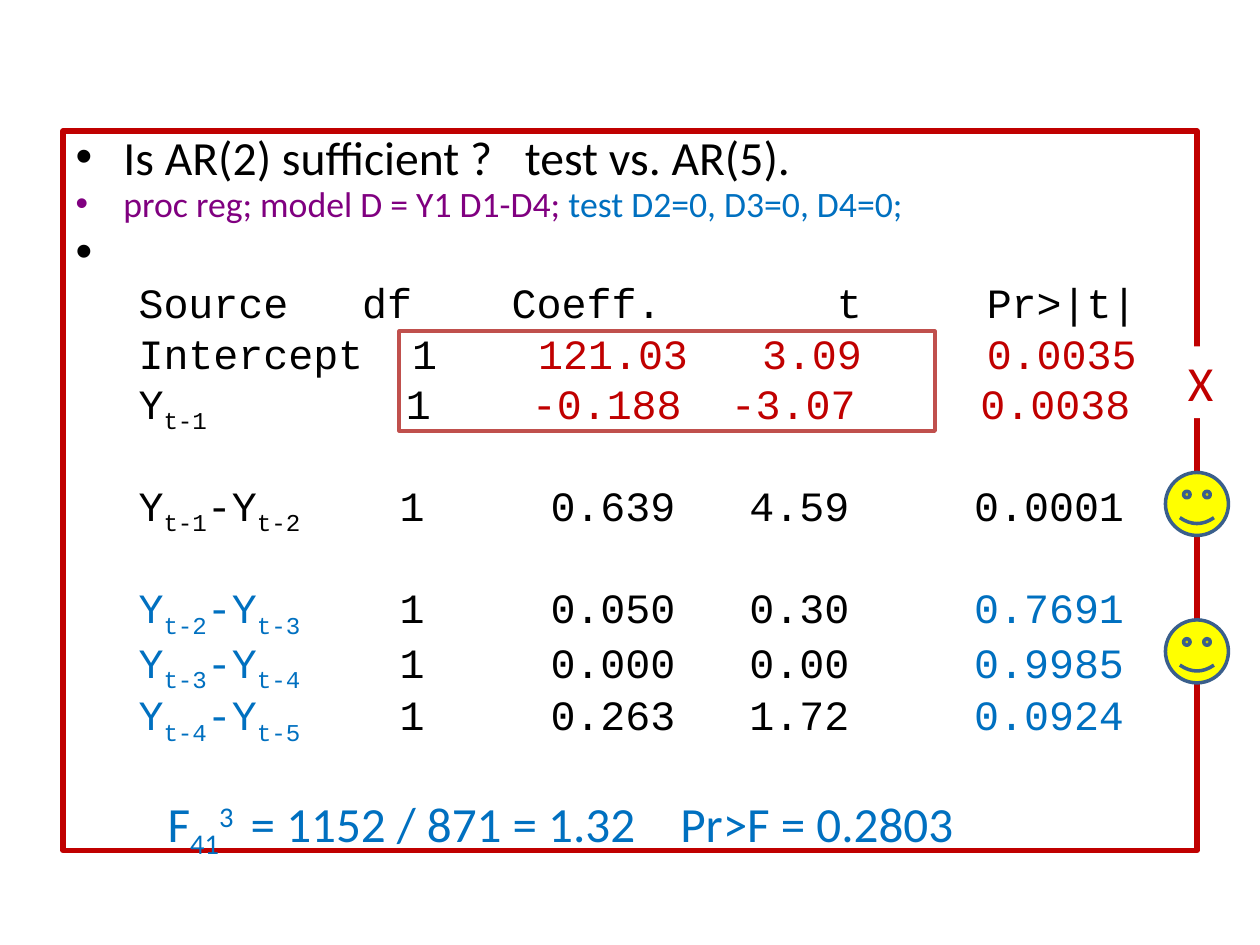
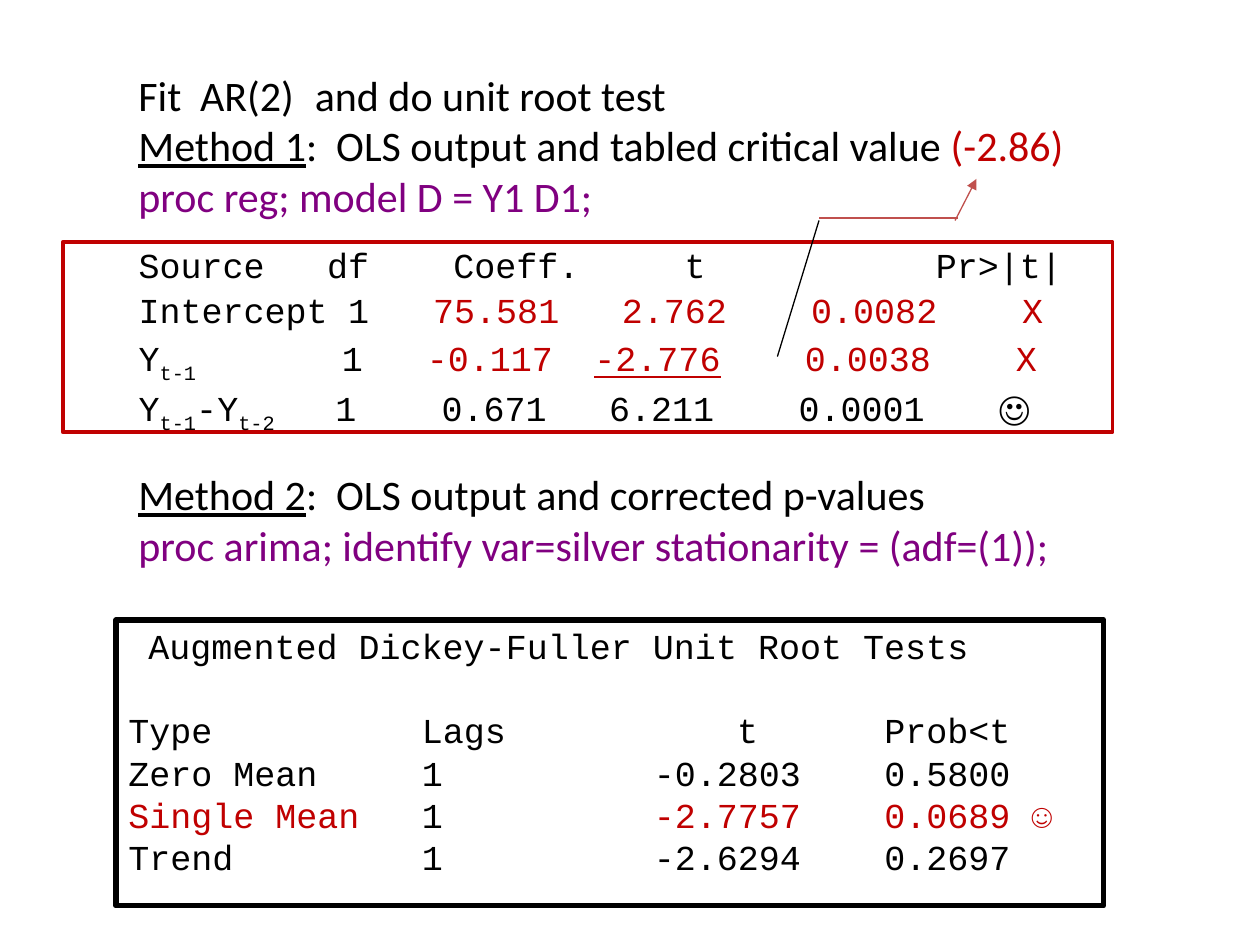
from lxml.etree import SubElement
from pptx import Presentation
from pptx.dml.color import RGBColor
from pptx.enum.shapes import MSO_CONNECTOR, MSO_SHAPE
from pptx.enum.text import MSO_ANCHOR, MSO_AUTO_SIZE, PP_ALIGN
from pptx.oxml.ns import qn
from pptx.util import Inches, Pt

# Shared look
BLACK, RED, BLUE, PURPLE = "000000", "C00000", "0070C0", "800080"
YELLOW, WHITE, BRICK, NAVY = "FFFF00", "FFFFFF", "C0504D", "3A5F8C"
SANS, MONO = "Calibri", "Courier New"
ROW_SHIFT = 0.05  # each subscripted label moves its row's columns left


def run(text, color=BLACK, **formats):
    return text, {"color": color, **formats}


def lag(number, color=BLACK):
    return [run("Y", color), run(f"t-{number}", color, baseline=-25000)]


def difference(number, color=BLACK):
    return lag(number, color) + [run("-Y", color),
                                 run(f"t-{number + 1}", color, baseline=-25000)]


def right_stops(*positions, shift=0):
    return [(position - shift * ROW_SHIFT, "r") for position in positions]


# Slide 1 content: space before, size, runs
AR5_BULLETS = [
    (0, 27.2, [run("Is AR(2) sufficient ?"), run(" ", spc=1230), run("test vs. AR(5).")]),
    (1, 20.4, [run("proc reg; model D = Y1 D1-D4; ", PURPLE),
               run("test D2=0, D3=0, D4=0;", BLUE)]),
    (9.5, 27.2, [run(" ")]),
]
AR5_HEADER = right_stops(2.17, 4.15, 5.74, 7.92)
AR5_COLUMNS = (2.37, 4.36, 5.74, 7.92)
# Space before, label shift, label, coefficient and t, p-value, colours of both
AR5_ROWS = [
    (5, 0, [run("Intercept")], "121.03\t3.09", "0.0035", RED, RED),
    (8.5, 1, lag(1), "-0.188\t-3.07", "0.0038", RED, RED),
    (34.5, 2, difference(1), "0.639\t4.59", "0.0001", BLACK, BLACK),
    (34.5, 2, difference(2, BLUE), "0.050\t0.30", "0.7691", BLACK, BLUE),
    (7, 2, difference(3, BLUE), "0.000\t0.00", "0.9985", BLACK, BLUE),
    (6, 2, difference(4, BLUE), "0.263\t1.72", "0.0924", BLACK, BLUE),
]
F_TEST = [run("\tF", BLUE), run("41", BLUE, baseline=-25000), run("3", BLUE, baseline=30000),
          run("\t= 1152 / 871 = 1.32\tPr>F = 0.2803", BLUE)]
F_STOPS = [(0.23, "l"), (0.89, "l"), (4.3, "l")]
SMILEY_TOPS = (3.75, 4.92)

# Slide 2 content
METHOD_1 = [
    ([run("Fit\tAR(2)\tand do unit root test")], [(0.49, "l"), (1.4, "l")]),
    ([run("Method 1", underline=True), run(":\tOLS output and tabled critical value "),
      run("(-2.86)", RED)], [(1.57, "l")]),
    ([run("proc reg; model D = Y1 D1;", PURPLE)], []),
]
METHOD_2 = [
    ([run("Method 2", underline=True), run(":\tOLS output and corrected p-values")],
     [(1.57, "l")]),
    ([run("proc arima; identify var=silver stationarity = (adf=(1));", PURPLE)], []),
]
AR2_HEADER = right_stops(1.83, 3.5, 4.5, 7.33)
AR2_COLUMNS = (1.83, 3.34, 4.67, 6.34, 7.18)
AR2_ROWS = [
    (4, [run("Intercept\t1"), run("\t75.581\t2.762\t0.0082\tX", RED)]),
    (8.5, lag(1) + [run("\t1"), run("\t-0.117\t", RED), run("-2.776", RED, underline=True),
                    run("\t0.0038\tX", RED)]),
    (6.5, difference(1) + [run("\t1\t0.671\t6.211\t0.0001\t"), run("☺", name=SANS)]),
]
ADF_HEADER = [(2.33, "l"), (5.0, "r"), (6.0, "l")]
ADF_COLUMNS = [(2.33, "l"), (5.34, "r"), (6.0, "l")]
ADF_ROWS = [
    [run("Zero Mean\t1\t-0.2803\t0.5800")],
    [run("Single Mean", RED), run("\t1"), run("\t-2.7757\t0.0689 ☺", RED)],
    [run("Trend\t1\t-2.6294\t0.2697")],
]
# From, to, colour, arrowhead
POINTER = [
    ((6.17, 2.83), (6.5, 1.75), BLACK, False),
    ((6.5, 1.73), (7.6, 1.73), BRICK, False),
    ((7.58, 1.75), (7.75, 1.42), BRICK, True),
]


def rgb(value):
    return RGBColor.from_string(value)


def place(shape, box):
    for name, value in zip(("left", "top", "width", "height"), box):
        setattr(shape, name, Inches(value))


def prepare_frame(shape, top_inset=0.05, left_inset=0.1):
    frame = shape.text_frame
    formats = {"word_wrap": True, "auto_size": MSO_AUTO_SIZE.NONE,
               "vertical_anchor": MSO_ANCHOR.TOP, "margin_top": Inches(top_inset),
               "margin_left": Inches(left_inset)}
    for name, value in formats.items():
        setattr(frame, name, value)
    return frame


def add_paragraph(frame, runs, size, font=SANS, margin=0, hanging=0, before=0,
                  line=None, stops=()):
    first = frame.paragraphs[0]
    paragraph = frame.add_paragraph() if first.runs else first
    properties = paragraph._p.get_or_add_pPr()
    if margin:
        properties.set("marL", str(Inches(margin)))
    if hanging:
        properties.set("indent", str(Inches(-hanging)))
    if stops:
        tab_list = SubElement(properties, qn("a:tabLst"))
        for position, align in stops:
            SubElement(tab_list, qn("a:tab"), pos=str(Inches(position)), algn=align)
    paragraph.alignment = PP_ALIGN.LEFT
    paragraph.space_before = Pt(before)
    if line:
        paragraph.line_spacing = Pt(line)
    for text, formats in runs:
        formats = {"name": font, "size": Pt(size), **formats}
        piece = paragraph.add_run()
        piece.text = text
        piece.font.color.rgb = rgb(formats.pop("color"))
        for name, value in formats.items():
            if name in ("baseline", "spc"):
                piece._r.get_or_add_rPr().set(name, str(value))
            else:
                setattr(piece.font, name, value)


def add_shape(slide, kind, box, fill=None, line=None, width=1):
    shape = slide.shapes.add_shape(kind, *map(Inches, box))
    shape.shadow.inherit = False
    if fill:
        shape.fill.solid()
        shape.fill.fore_color.rgb = rgb(fill)
    else:
        shape.fill.background()
    if line:
        shape.line.color.rgb = rgb(line)
        shape.line.width = Pt(width)
    else:
        shape.line.fill.background()
    return shape


def add_text(slide, box, paragraphs):
    frame = prepare_frame(slide.shapes.add_textbox(*map(Inches, box)))
    for runs, stops in paragraphs:
        add_paragraph(frame, runs, 24, stops=stops)


def add_line(slide, start, end, color, arrow):
    connector = slide.shapes.add_connector(
        MSO_CONNECTOR.STRAIGHT, *map(Inches, start + end))
    connector.line.color.rgb = rgb(color)
    connector.line.width = Pt(0.75)
    if arrow:
        SubElement(connector.line._get_or_add_ln(), qn("a:tailEnd"), type="triangle")
    SubElement(connector._element.spPr, qn("a:effectLst"))


def build_ar5_slide(presentation):
    slide = presentation.slides.add_slide(presentation.slide_layouts[1])
    title = slide.shapes.title._element
    title.getparent().remove(title)

    # Framed bullets
    body = slide.placeholders[1]
    place(body, (0.5, 1.04, 9, 5.71))
    body.line.color.rgb = rgb(RED)
    body.line.width = Pt(3)
    frame = prepare_frame(body, 0.12)
    for before, size, runs in AR5_BULLETS:
        add_paragraph(frame, runs, size, margin=0.38, hanging=0.38, before=before, line=22)

    # Regression output and F test
    output = slide.shapes.add_textbox(*map(Inches, (1.1, 2.21, 8.1, 4.5)))
    frame = prepare_frame(output, left_inset=0)
    table = {"size": 23.8, "font": MONO, "line": 24}
    add_paragraph(frame, [run("Source\tdf\tCoeff.\tt\tPr>|t|")], stops=AR5_HEADER, **table)
    for before, shift, label, estimate, p_value, estimate_color, p_color in AR5_ROWS:
        runs = label + [run("\t1"), run(f"\t{estimate}", estimate_color),
                        run(f"\t{p_value}", p_color)]
        add_paragraph(frame, runs, before=before,
                      stops=right_stops(*AR5_COLUMNS, shift=shift), **table)
    add_paragraph(frame, F_TEST, 28.1, before=41.5, line=24, stops=F_STOPS)

    # Verdict marks
    add_shape(slide, MSO_SHAPE.RECTANGLE, (3.17, 2.63, 4.25, 0.79), line=BRICK, width=2.25)
    cross = add_shape(slide, MSO_SHAPE.RECTANGLE, (9.33, 2.75, 0.42, 0.57), fill=WHITE)
    add_paragraph(prepare_frame(cross), [run("X", RED)], 28)
    for top in SMILEY_TOPS:
        add_shape(slide, MSO_SHAPE.SMILEY_FACE, (9.25, top, 0.5, 0.5), YELLOW, NAVY, 2)


def build_unit_root_slide(presentation):
    slide = presentation.slides.add_slide(presentation.slide_layouts[6])
    add_text(slide, (1, 0.5, 7.61, 1.31), METHOD_1)

    # Regression output
    box = add_shape(slide, MSO_SHAPE.RECTANGLE, (0.5, 1.92, 8.33, 1.51), line=RED, width=2.25)
    frame = prepare_frame(box, 0.04, left_inset=0.6)
    table = {"size": 20, "font": MONO, "line": 22}
    add_paragraph(frame, [run("Source\tdf\tCoeff.\tt\tPr>|t|")], stops=AR2_HEADER, **table)
    for shift, (before, runs) in enumerate(AR2_ROWS):
        add_paragraph(frame, runs, before=before,
                      stops=right_stops(*AR2_COLUMNS, shift=shift), **table)

    add_text(slide, (1, 3.67, 7.57, 0.91), METHOD_2)

    # Dickey-Fuller output
    box = add_shape(slide, MSO_SHAPE.RECTANGLE, (0.92, 4.92, 7.84, 2.27), line=BLACK, width=3)
    frame = prepare_frame(box, 0.04)
    table = {"size": 20, "font": MONO, "line": 24}
    add_paragraph(frame, [run("Augmented Dickey-Fuller Unit Root Tests")], margin=0.16, **table)
    add_paragraph(frame, [run("Type\tLags\tt\tProb<t")], before=24, stops=ADF_HEADER, **table)
    for runs in ADF_ROWS:
        add_paragraph(frame, runs, stops=ADF_COLUMNS, **table)

    # Pointer from the t value to the critical value
    for segment in POINTER:
        add_line(slide, *segment)


def main():
    presentation = Presentation()
    presentation.slide_width = Inches(10)
    presentation.slide_height = Inches(7.5)
    build_ar5_slide(presentation)
    build_unit_root_slide(presentation)
    presentation.save("out.pptx")


if __name__ == "__main__":
    main()
